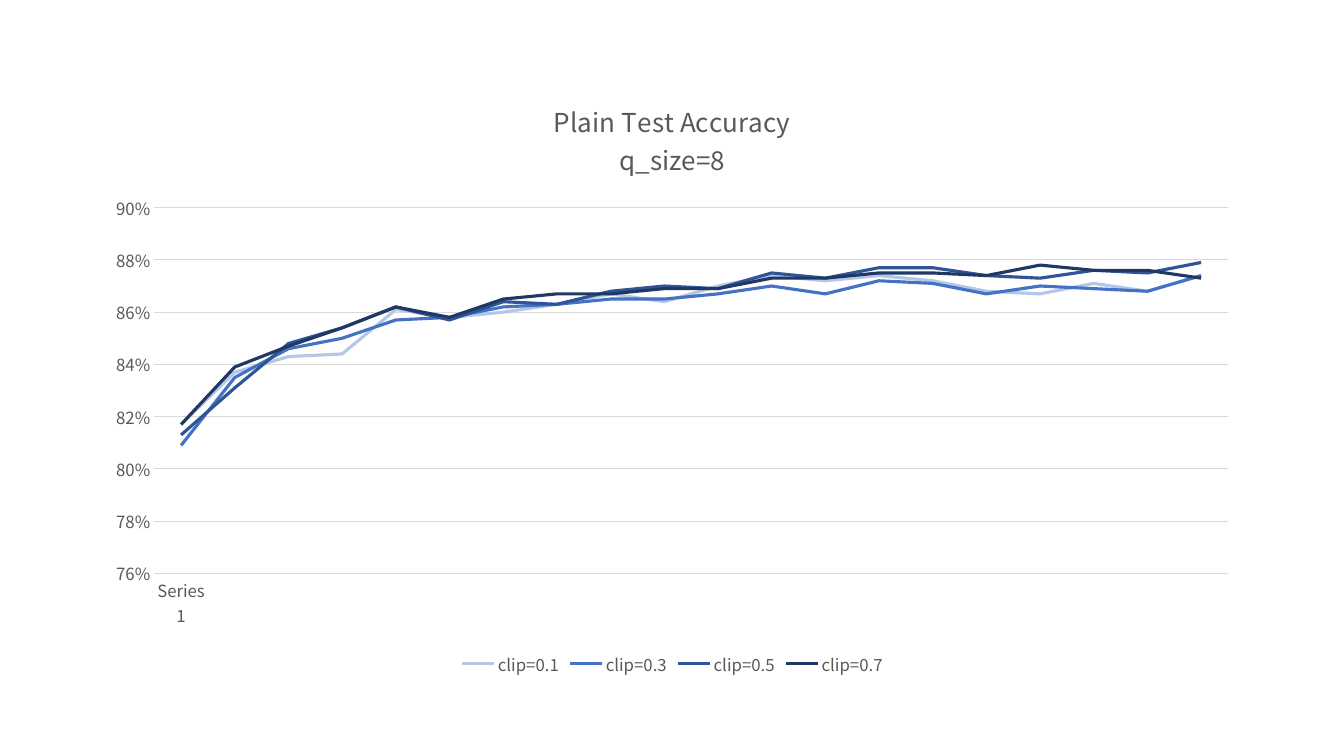
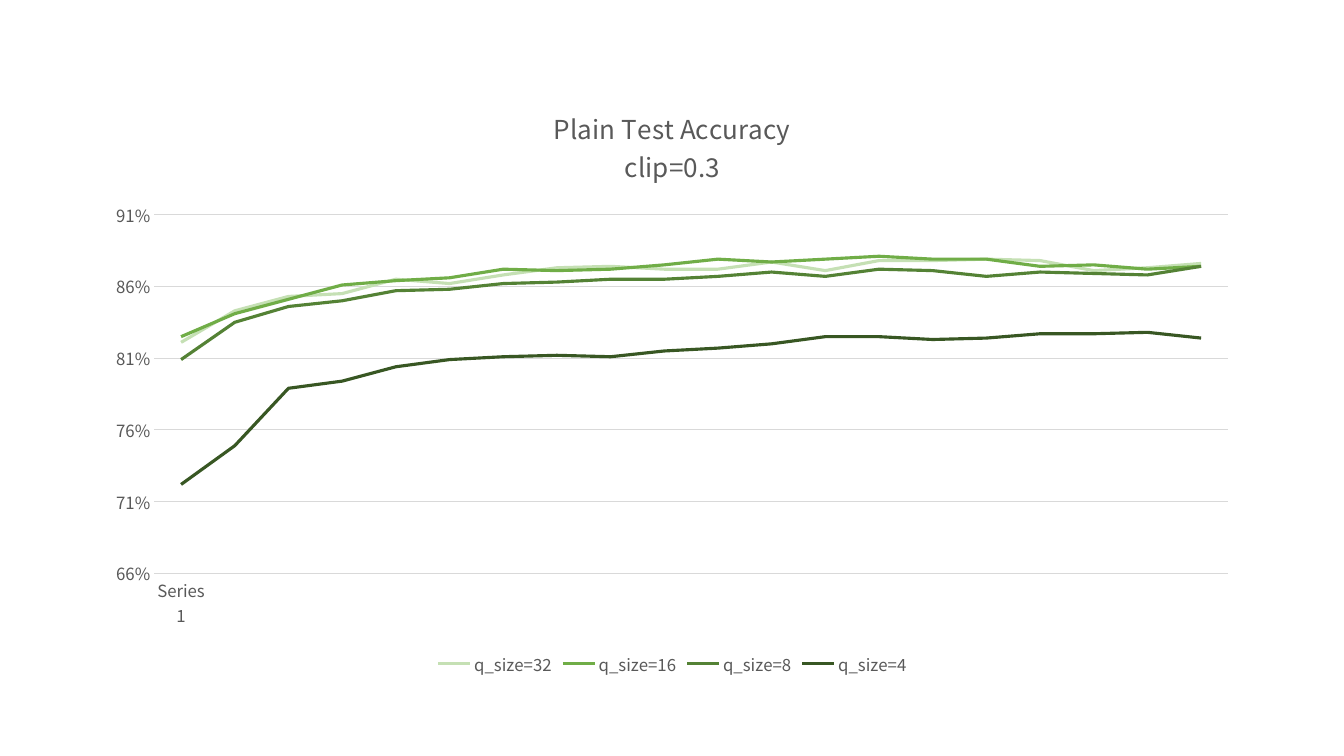
from lxml import etree
from pptx import Presentation
from pptx import util as u
from pptx.chart.data import CategoryChartData
from pptx.dml.color import RGBColor
from pptx.enum import chart as ce
from pptx.oxml.ns import qn

SLIDE_WIDTH, SLIDE_HEIGHT = 13.33, 7.5
CHART_LEFT, CHART_WIDTH, CHART_BOTTOM = 0.92, 11.5, 6.75
# Inches between the chart frame and the plot: left, top, right, bottom
PLOT_MARGINS = (0.61, 1.27, 0.24, 1.06)
FONT = "Noto Sans CJK KR"
TEXT_COLOR, GRID_COLOR = "595959", "D9D9D9"
EPOCHS = 20
CATEGORIES = ["Series 1"] + [""] * (EPOCHS - 1)

# Accuracy in percent, shared by both charts
BASELINE = [80.9, 83.5, 84.6, 85.0, 85.7, 85.8, 86.2, 86.3, 86.5, 86.5,
            86.7, 87.0, 86.7, 87.2, 87.1, 86.7, 87.0, 86.9, 86.8, 87.4]

CHARTS = [
    {
        "top": 0.79,
        "title": ["Plain Test Accuracy", "q_size=8"],
        "scale": {"minimum_scale": 0.76, "maximum_scale": 0.9, "major_unit": 0.02},
        "series": [
            ("clip=0.1", "B4C7E7",
             [81.7, 83.7, 84.3, 84.4, 86.1, 85.8, 86.0, 86.3, 86.7, 86.4,
              87.0, 87.4, 87.2, 87.4, 87.2, 86.8, 86.7, 87.1, 86.8, 87.4]),
            ("clip=0.3", "4472C4", BASELINE),
            ("clip=0.5", "2F5597",
             [81.3, 83.1, 84.8, 85.4, 86.2, 85.7, 86.4, 86.3, 86.8, 87.0,
              86.9, 87.5, 87.3, 87.7, 87.7, 87.4, 87.3, 87.6, 87.5, 87.9]),
            ("clip=0.7", "203864",
             [81.7, 83.9, 84.7, 85.4, 86.2, 85.8, 86.5, 86.7, 86.7, 86.9,
              86.9, 87.3, 87.3, 87.5, 87.5, 87.4, 87.8, 87.6, 87.6, 87.3]),
        ],
    },
    {
        "top": 0.86,
        "title": ["Plain Test Accuracy", "clip=0.3"],
        "scale": {"minimum_scale": 0.66, "maximum_scale": 0.91, "major_unit": 0.05},
        "series": [
            ("q_size=32", "C5E0B4",
             [82.1, 84.3, 85.3, 85.5, 86.5, 86.2, 86.8, 87.3, 87.4, 87.2,
              87.2, 87.7, 87.1, 87.8, 87.8, 87.9, 87.8, 87.1, 87.3, 87.6]),
            ("q_size=16", "70AD47",
             [82.5, 84.1, 85.1, 86.1, 86.4, 86.6, 87.2, 87.1, 87.2, 87.5,
              87.9, 87.7, 87.9, 88.1, 87.9, 87.9, 87.4, 87.5, 87.2, 87.4]),
            ("q_size=8", "548235", BASELINE),
            ("q_size=4", "385723",
             [72.2, 74.9, 78.9, 79.4, 80.4, 80.9, 81.1, 81.2, 81.1, 81.5,
              81.7, 82.0, 82.5, 82.5, 82.3, 82.4, 82.7, 82.7, 82.8, 82.4]),
        ],
    },
]


def color(hex_string):
    return RGBColor.from_string(hex_string)


def set_attributes(target, values):
    for name, value in values.items():
        setattr(target, name, value)


def format_font(font, size):
    set_attributes(font, {"name": FONT, "size": u.Pt(size), "bold": False})
    font.color.rgb = color(TEXT_COLOR)


def format_line(line, hex_string, width):
    line.color.rgb = color(hex_string)
    line.width = u.Pt(width)


def add_title(chart, lines):
    chart.has_title = True
    chart.chart_title.include_in_layout = False
    frame = chart.chart_title.text_frame
    for index, line in enumerate(lines):
        paragraph = frame.add_paragraph() if index else frame.paragraphs[0]
        run = paragraph.add_run()
        run.text = line
        format_font(run.font, 18.6)


def format_axes(chart, scale):
    for axis in (chart.category_axis, chart.value_axis):
        set_attributes(axis, {"major_tick_mark": ce.XL_TICK_MARK.NONE,
                              "minor_tick_mark": ce.XL_TICK_MARK.NONE})
        format_font(axis.tick_labels.font, 12)
    format_line(chart.category_axis.format.line, GRID_COLOR, 0.75)

    value_axis = chart.value_axis
    set_attributes(value_axis, {**scale, "has_major_gridlines": True})
    set_attributes(value_axis.tick_labels,
                   {"number_format": "0%", "number_format_is_linked": False})
    value_axis.format.line.fill.background()
    format_line(value_axis.major_gridlines.format.line, GRID_COLOR, 0.75)


def add_legend(chart):
    chart.has_legend = True
    set_attributes(chart.legend, {"position": ce.XL_LEGEND_POSITION.BOTTOM,
                                  "include_in_layout": False})
    format_font(chart.legend.font, 12)


def place_plot(chart, width, height):
    """Fix the inner plot area at PLOT_MARGINS from the chart frame."""
    left, top, right, bottom = PLOT_MARGINS
    shares = {"x": left / width, "y": top / height,
              "w": (width - left - right) / width,
              "h": (height - top - bottom) / height}
    plot_area = chart.plots[0]._element.getparent()
    layout = plot_area.find(qn("c:layout"))
    if layout is None:
        layout = etree.Element(qn("c:layout"))
        plot_area.insert(0, layout)
    manual = etree.SubElement(layout, qn("c:manualLayout"))
    settings = {"layoutTarget": "inner", "xMode": "edge", "yMode": "edge", **shares}
    for tag, value in settings.items():
        etree.SubElement(manual, qn(f"c:{tag}")).set("val", str(value))


def add_accuracy_chart(slide, top, title, scale, series):
    chart_data = CategoryChartData(number_format="0%")
    chart_data.categories = CATEGORIES
    for name, _, percents in series:
        chart_data.add_series(name, [round(value / 100, 3) for value in percents])

    height = CHART_BOTTOM - top
    frame = [u.Inches(value) for value in (CHART_LEFT, top, CHART_WIDTH, height)]
    chart = slide.shapes.add_chart(ce.XL_CHART_TYPE.LINE, *frame, chart_data).chart
    format_font(chart.font, 10)
    chart.plots[0].vary_by_categories = False
    for line_series, (_, hex_string, _) in zip(chart.plots[0].series, series):
        line_series.smooth = False
        format_line(line_series.format.line, hex_string, 2.25)

    add_title(chart, title)
    format_axes(chart, scale)
    add_legend(chart)
    place_plot(chart, CHART_WIDTH, height)


def main():
    presentation = Presentation()
    set_attributes(presentation, {"slide_width": u.Inches(SLIDE_WIDTH),
                                  "slide_height": u.Inches(SLIDE_HEIGHT)})
    blank_layout = presentation.slide_layouts[6]
    for chart_values in CHARTS:
        add_accuracy_chart(presentation.slides.add_slide(blank_layout), **chart_values)
    presentation.save("out.pptx")


if __name__ == "__main__":
    main()
